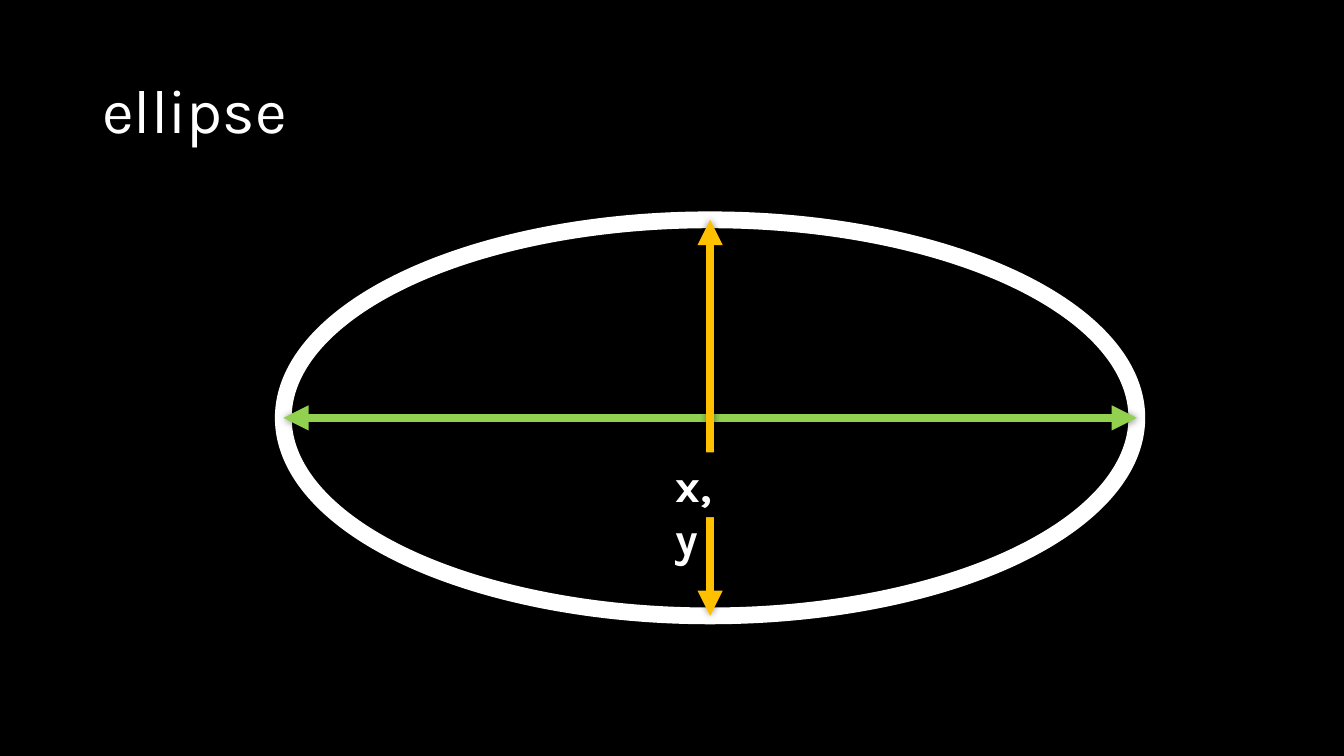
from lxml.etree import SubElement
from pptx import Presentation
from pptx.dml.color import RGBColor
from pptx.enum.shapes import MSO_CONNECTOR as Connector, MSO_SHAPE as Shape
from pptx.enum.text import MSO_ANCHOR as Anchor, PP_ALIGN as Align
from pptx.oxml.ns import qn
from pptx.util import Cm, Pt


def color(hex_text):
    return RGBColor.from_string(hex_text)


def set_line(line, hex_text, width):
    line.color.rgb = color(hex_text)
    line.width = Pt(width)


def write_text(shape, text, size, anchor, bold=False, line_spacing=1.0):
    frame = shape.text_frame
    frame.word_wrap = True
    frame.vertical_anchor = anchor
    paragraph = frame.paragraphs[0]
    paragraph.text = text
    paragraph.alignment = Align.LEFT
    paragraph.line_spacing = line_spacing
    font = paragraph.runs[0].font
    for name, value in {"name": "Karla", "size": Pt(size), "bold": bold}.items():
        setattr(font, name, value)
    font.color.rgb = color("FFFFFF")


def add_axis(slide, start, end, hex_text):
    """Draw a double-headed arrow with a soft shadow."""
    axis = slide.shapes.add_connector(
        Connector.STRAIGHT, *(Cm(value) for value in start + end))
    set_line(axis.line, hex_text, 6)
    outline = axis.line._get_or_add_ln()
    for tag in ("a:headEnd", "a:tailEnd"):
        SubElement(outline, qn(tag), type="triangle")
    effects = SubElement(axis._element.spPr, qn("a:effectLst"))
    shadow = SubElement(effects, qn("a:outerShdw"), blurRad=str(Pt(5)),
                        dist="0", dir="0", algn="l", rotWithShape="0")
    shade = SubElement(shadow, qn("a:srgbClr"), val="000000")
    SubElement(shade, qn("a:alpha"), val="40000")


def add_title(slide, left, top, width, height):
    title = slide.shapes.add_textbox(Cm(left), Cm(top), Cm(width), Cm(height))
    write_text(title, "ellipse", 44, Anchor.MIDDLE, line_spacing=0.9)


def add_ellipse_diagram(slide, left, top, width, height):
    """Draw the ellipse, its two axes and the label of its centre."""
    ellipse = slide.shapes.add_shape(
        Shape.OVAL, Cm(left), Cm(top), Cm(width), Cm(height))
    ellipse.shadow.inherit = False
    ellipse.fill.background()
    set_line(ellipse.line, "FFFFFF", 12)

    center_x, center_y = left + width / 2, top + height / 2
    add_axis(slide, (left, center_y), (left + width, center_y), "92D050")
    add_axis(slide, (center_x, top + height), (center_x, top), "FFC000")

    label_width, label_height = 2.24, 1.63
    label = slide.shapes.add_shape(
        Shape.RECTANGLE, Cm(center_x - label_width / 2), Cm(center_y + 0.87),
        Cm(label_width), Cm(label_height))
    label.shadow.inherit = False
    label.fill.solid()
    label.fill.fore_color.rgb = color("000000")
    label.line.fill.background()
    write_text(label, "x, y", 32, Anchor.TOP, bold=True)


def main():
    presentation = Presentation()
    presentation.slide_width, presentation.slide_height = Cm(33.87), Cm(19.05)
    slide = presentation.slides.add_slide(presentation.slide_layouts[6])
    slide.background.fill.solid()
    slide.background.fill.fore_color.rgb = color("000000")
    add_ellipse_diagram(slide, 7.14, 5.54, 21.51, 9.98)
    add_title(slide, 2.33, 1.01, 29.21, 3.68)
    presentation.save("out.pptx")


if __name__ == "__main__":
    main()
